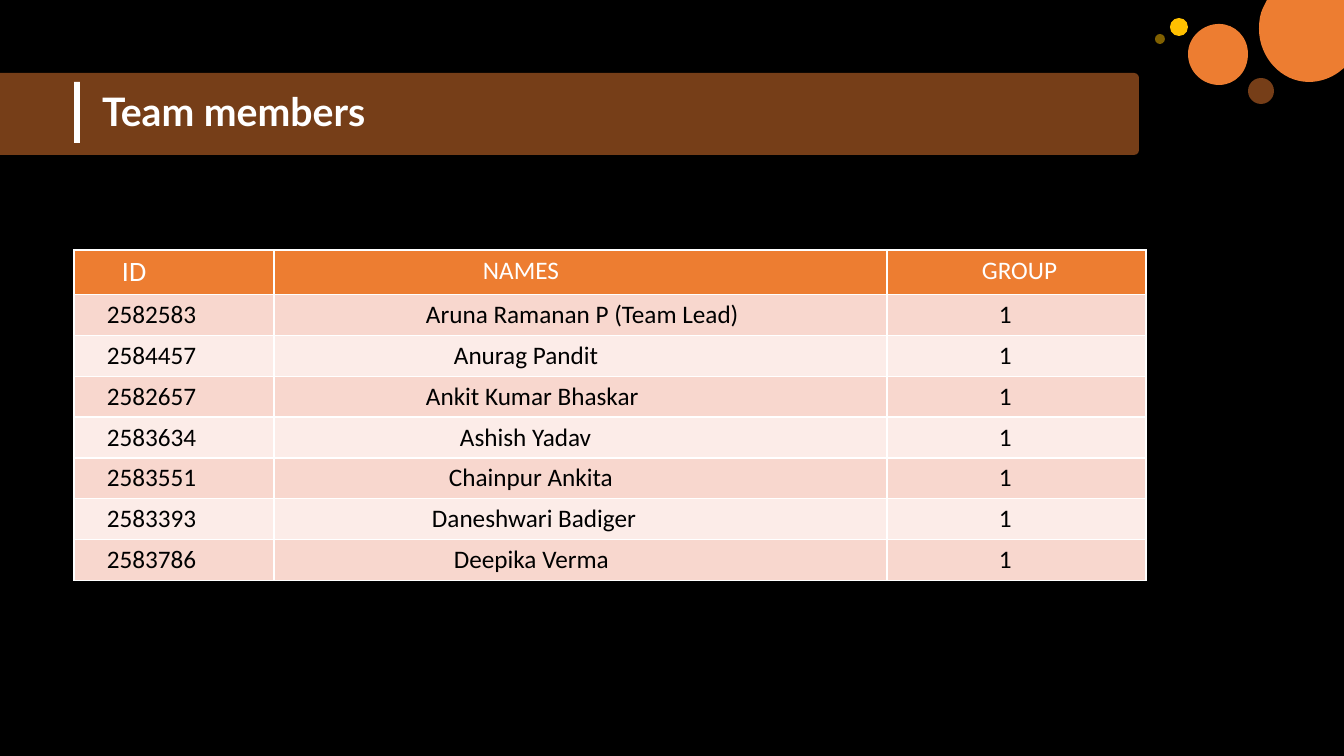
from pptx import Presentation
from pptx.dml.color import RGBColor as Rgb
from pptx.enum.shapes import MSO_SHAPE as Geo
from pptx.enum.text import MSO_ANCHOR as Anchor, MSO_AUTO_SIZE as Fit, PP_ALIGN as Align
from pptx.oxml.ns import qn
from pptx.util import Pt
from lxml.etree import SubElement as Sub

PX = 914400 / 100.8
WIDE, HIGH = 1344, 756
HUES = {"back": "000000", "white": "FFFFFF", "main": "ED7D31",
        "gold": "FFC000", "odd": "F8D7CE", "even": "FCECE8"}
HEADS = [("ID", 48, 20), ("NAMES", 209, 18), ("GROUP", 95, 18)]
TEAM = [("2582583", "Aruna Ramanan P (Team Lead)", 152),
        ("2584457", "Anurag Pandit", 180),
        ("2582657", "Ankit Kumar Bhaskar", 152),
        ("2583634", "Ashish Yadav", 186),
        ("2583551", "Chainpur Ankita", 175),
        ("2583393", "Daneshwari Badiger", 158),
        ("2583786", "Deepika Verma", 180)]
SMALL = [(1219, 24),
         (1235, 24, 1248, 37, 1248, 54), (1248, 72, 1235, 85, 1219, 85),
         (1203, 85, 1188, 72, 1188, 54), (1188, 37, 1203, 24, 1219, 24)]
LARGE = [(1267, 0), (1344, 0), (1344, 68), (1339, 72),
         (1331, 78, 1320, 82, 1309, 82), (1281, 82, 1259, 57, 1259, 29),
         (1259, 21, 1260, 14, 1263, 8)]


def emu(px):
    return round(px * PX)


def hue(name):
    return Rgb.from_string(HUES[name])


def write(frame, words, size=18, font="Calibri", color="back", bold=False, line=None):
    para = frame.paragraphs[0]
    para.alignment = Align.LEFT
    para.line_spacing = line
    run = para.add_run()
    run.text = words
    run.font.size = Pt(size)
    run.font.name = font
    run.font.bold = bold
    run.font.color.rgb = hue(color)


def paint(shape, color, alpha=100):
    shape.shadow.inherit = False
    shape.line.fill.background()
    shape.fill.solid()
    shape.fill.fore_color.rgb = hue(color)
    if alpha < 100:
        tint = shape.element.spPr.find(qn("a:solidFill"))[0]
        Sub(tint, qn("a:alpha"), val=str(alpha * 1000))


def block(slide, geo, box, color, alpha=100):
    shape = slide.shapes.add_shape(geo, *map(emu, box))
    paint(shape, color, alpha)
    return shape


def bend(line, step, left, top):
    line.tag = qn("a:cubicBezTo")
    end = line[0]
    for x, y in (step[:2], step[2:4]):
        end.addprevious(end.makeelement(qn("a:pt"), {"x": str(x - left), "y": str(y - top)}))


def curve(slide, loops, color):
    pen = slide.shapes.build_freeform(*loops[0][0], scale=PX)
    for count, loop in enumerate(loops):
        if count:
            pen.move_to(*loop[0])
        pen.add_line_segments([step[-2:] for step in loop[1:]])
    shape = pen.convert_to_shape()
    left, top = round(shape.left / PX), round(shape.top / PX)
    steps = [step for loop in loops for step in loop[1:]]
    for line, step in zip(list(shape.element.iter(qn("a:lnTo"))), steps):
        if len(step) == 6:
            bend(line, step, left, top)
    paint(shape, color)


def discs(slide):
    curve(slide, [SMALL, LARGE], "main")
    for box, color, alpha in [((1248, 78, 26, 26), "main", 50),
                              ((1155, 34, 10, 10), "gold", 50),
                              ((1170, 18, 18, 18), "gold", 100)]:
        block(slide, Geo.OVAL, box, color, alpha)


def title(slide, words):
    shape = slide.shapes.title
    slide.shapes.element.append(shape.element)
    shape.left, shape.top, shape.width, shape.height = map(emu, (92, 73, 1034, 82))
    frame = shape.text_frame
    frame.auto_size = Fit.NONE
    frame.vertical_anchor = Anchor.MIDDLE
    write(frame, words, size=28, font="Lato", color="white", bold=True, line=0.9)


def fill(cell, words, inset, back, size=18, color="back"):
    cell.fill.solid()
    cell.fill.fore_color.rgb = hue(back)
    cell.margin_left = emu(inset)
    write(cell.text_frame, words, size=size, color=color)


def roster(slide):
    cols, rows = [200, 613, 259], [44] + [40] * len(TEAM)
    box = (74, 250, sum(cols), sum(rows))
    table = slide.shapes.add_table(len(rows), len(cols), *map(emu, box)).table
    for col, wide in zip(table.columns, cols):
        col.width = emu(wide)
    for row, high in zip(table.rows, rows):
        row.height = emu(high)
    for col, (words, inset, size) in enumerate(HEADS):
        fill(table.cell(0, col), words, inset, "main", size, "white")
    for row, (code, name, inset) in enumerate(TEAM, 1):
        back = "odd" if row % 2 else "even"
        for col, (words, gap) in enumerate([(code, 33), (name, inset), ("1", 112)]):
            fill(table.cell(row, col), words, gap, back)


def main():
    deck = Presentation()
    deck.slide_width, deck.slide_height = emu(WIDE), emu(HIGH)
    slide = deck.slides.add_slide(deck.slide_layouts[5])
    slide.background.fill.solid()
    slide.background.fill.fore_color.rgb = hue("back")
    band = block(slide, Geo.ROUNDED_RECTANGLE, (-23, 73, 1162, 82), "main", 50)
    band.adjustments[0] = 0.06
    block(slide, Geo.RECTANGLE, (74, 82, 6, 61), "white")
    discs(slide)
    title(slide, "Team members")
    roster(slide)
    deck.save("out.pptx")


if __name__ == "__main__":
    main()
